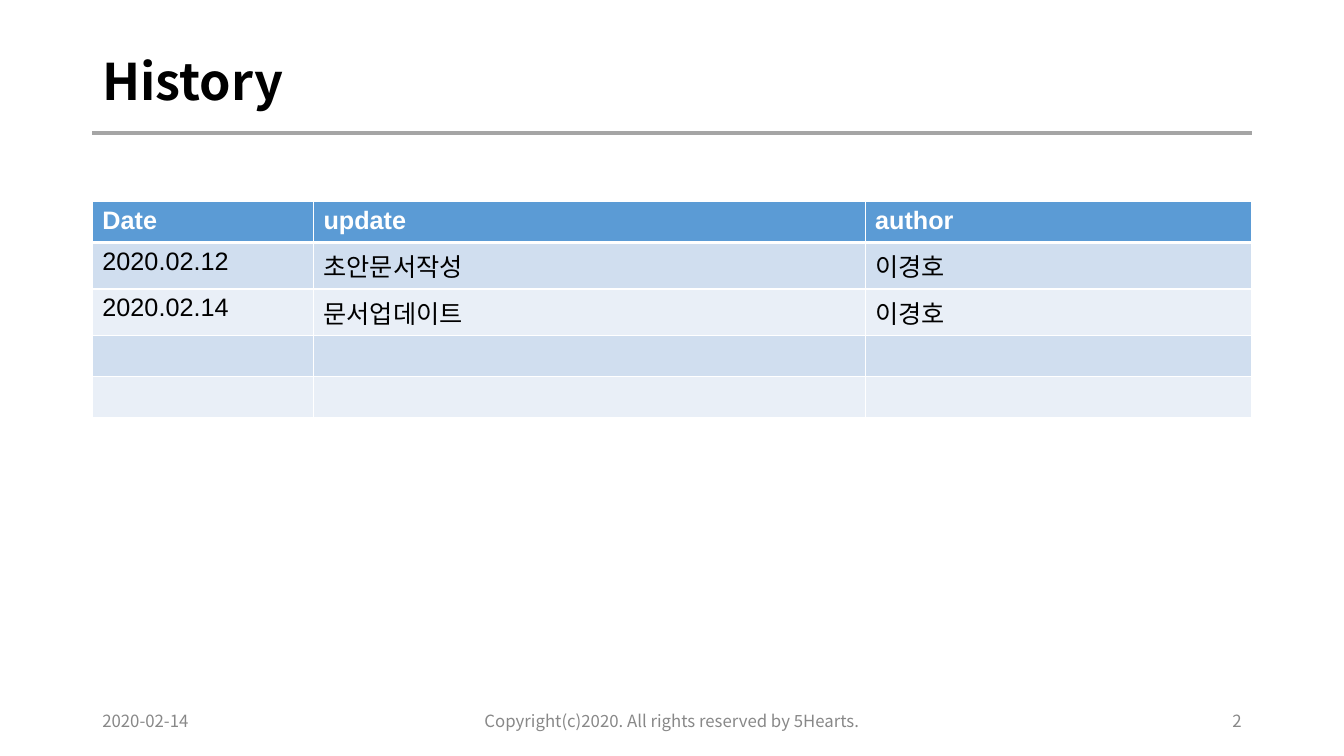
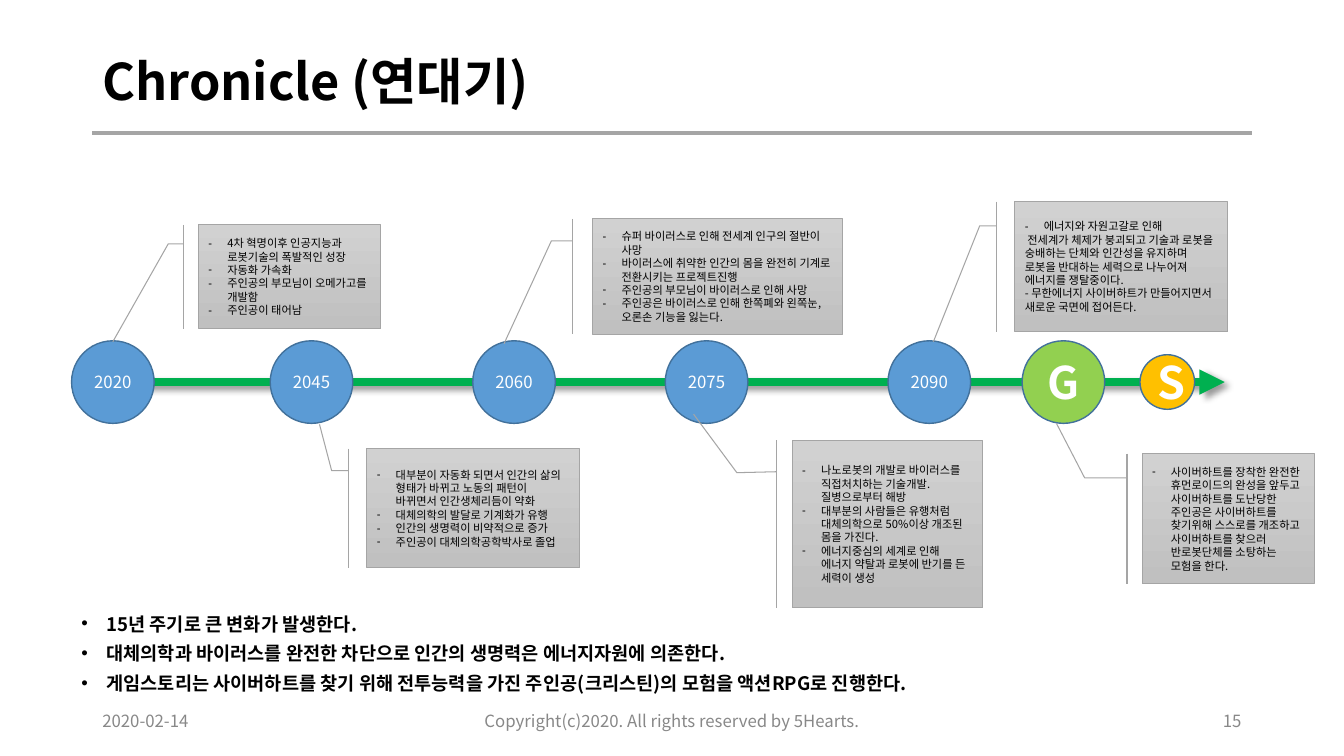
from lxml.etree import SubElement
from pptx import Presentation
from pptx.dml.color import RGBColor
from pptx.enum.shapes import MSO_CONNECTOR, MSO_SHAPE
from pptx.enum.text import MSO_ANCHOR, MSO_AUTO_SIZE, PP_ALIGN
from pptx.oxml.ns import qn
from pptx.util import Pt

BLACK = RGBColor(0x00, 0x00, 0x00)
WHITE = RGBColor(0xFF, 0xFF, 0xFF)
RULE_GRAY = RGBColor(0xA5, 0xA5, 0xA5)
FOOTER_GRAY = RGBColor(0x88, 0x88, 0x88)
BOX_TOP = RGBColor(0xD1, 0xD1, 0xD1)
BOX_BOTTOM = RGBColor(0xC0, 0xC0, 0xC0)
BLUE = RGBColor(0x5B, 0x9B, 0xD5)
DARK_BLUE = RGBColor(0x42, 0x71, 0x9B)
BANDS = [RGBColor(0xD0, 0xDE, 0xEF), RGBColor(0xE9, 0xEF, 0xF7)]
GREEN = RGBColor(0x00, 0xB0, 0x50)
LIGHT_GREEN = RGBColor(0x92, 0xD0, 0x50)
AMBER = RGBColor(0xFF, 0xC0, 0x00)

FONT = "Noto Sans CJK KR"
TABLE_FONT = "Arial"
SLIDE_WIDTH, SLIDE_HEIGHT = 960, 540
MARGIN = 66
CONTENT_WIDTH = SLIDE_WIDTH - 2 * MARGIN

TITLE_FORMAT = {"size": Pt(36), "bold": True}
FOOTER_FORMAT = {"size": Pt(12)}
YEAR_FORMAT = {"size": Pt(12)}
LETTER_FORMAT = {"size": Pt(32), "bold": True}
CALLOUT_FORMAT = {"size": Pt(8)}
SUMMARY_FORMAT = {"size": Pt(13.3), "bold": True}

DATE = "2020-02-14"
COPYRIGHT = "Copyright(c)2020. All rights reserved by 5Hearts."

HISTORY_ROWS = [
    ("Date", "update", "author"),
    ("2020.02.12", "초안문서작성", "이경호"),
    ("2020.02.14", "문서업데이트", "이경호"),
    ("", "", ""),
    ("", "", ""),
]
HISTORY_COLUMNS = [158, 394, 276]
HISTORY_TOP, HISTORY_ROW_HEIGHT = 144, 29.2

AXIS_Y = 272.9
AXIS_END = 874.8
# label, centre x, diameter, fill, text format
MILESTONES = [
    ("2020", 80.6, 59, BLUE, YEAR_FORMAT),
    ("2045", 222.5, 59, BLUE, YEAR_FORMAT),
    ("2060", 367.2, 59, BLUE, YEAR_FORMAT),
    ("2075", 504.7, 59, BLUE, YEAR_FORMAT),
    ("2090", 663.8, 59, BLUE, YEAR_FORMAT),
    ("G", 759.6, 59, LIGHT_GREEN, LETTER_FORMAT),
    ("S", 833.8, 39, AMBER, LETTER_FORMAT),
]
# box is left, top, width, height; leader runs from accent bar over bend to tip
CALLOUTS = [
    {"box": (141.8, 160.6, 130.3, 74.2),
     "leader": [(131, 174.2), (120.2, 174.2), (80.6, 244.1)],
     "dashed": ["4차 혁명이후 인공지능과 로봇기술의 폭발적인 성장",
                "자동화 가속화",
                "주인공의 부모님이 오메가고를 개발함",
                "주인공이 태어남"]},
    {"box": (262.1, 320.4, 151.9, 85),
     "leader": [(249.1, 336.2), (236.9, 336.2), (228.2, 303.1)],
     "dashed": ["대부분이 자동화 되면서 인간의 삶의 형태가 바뀌고 노동의 패턴이 "
                "바뀌면서 인간생체리듬이 약화",
                "대체의학의 발달로 기계화가 유행",
                "인간의 생명력이 비약적으로 증가",
                "주인공이 대체의학공학박사로 졸업"]},
    {"box": (423.4, 156.4, 178.2, 82.4),
     "leader": [(409, 172.1), (393.8, 172.1), (360, 245.5)],
     "dashed": ["슈퍼 바이러스로 인해 전세계 인구의 절반이 사망",
                "바이러스에 취약한 인간의 몸을 완전히 기계로 전환시키는 프로젝트진행",
                "주인공의 부모님이 바이러스로 인해 사망",
                "주인공은 바이러스로 인해 한쪽폐와 왼쪽눈, 오론손 기능을 잃는다."]},
    {"box": (565.9, 314.6, 136.1, 119.5),
     "leader": [(554.4, 337), (526.3, 337.7), (495.4, 295.9)],
     "dashed": ["나노로봇의 개발로 바이러스를 직접처치하는 기술개발. 질병으로부터 해방",
                "대부분의 사람들은 유행처럼 대체의학으로 50%이상 개조된 몸을 가진다.",
                "에너지중심의 세계로 인해 에너지 약탈과 로봇에 반기를 든 세력이 생성"]},
    {"box": (725, 144, 151.9, 92.9),
     "leader": [(712.1, 161.3), (699.8, 161.3), (666.7, 244.1)],
     "dashed": ["에너지와 자원고갈로 인해"],
     "plain": [" 전세계가 체제가 붕괴되고 기술과 로봇을 숭배하는 단체와 인간성을 "
               "유지하며 로봇을 반대하는 세력으로 나누어져 에너지를 쟁탈중이다.",
               "- 무한에너지 사이버하트가 만들어지면서 새로운 국면에 접어든다."]},
    {"box": (815.8, 324, 123.1, 92.9),
     "leader": [(805, 341.3), (774.7, 341.3), (754.6, 302.4)],
     "dashed": ["사이버하트를 장착한 완전한 휴먼로이드의 완성을 앞두고 사이버하트를 "
                "도난당한 주인공은 사이버하트를 찾기위해 스스로를 개조하고 "
                "사이버하트를 찾으러 반로봇단체를 소탕하는 모험을 한다."]},
]
SUMMARY = [
    "15년 주기로 큰 변화가 발생한다.",
    "대체의학과 바이러스를 완전한 차단으로 인간의 생명력은 에너지자원에 의존한다.",
    "게임스토리는 사이버하트를 찾기 위해 전투능력을 가진 주인공(크리스틴)의 모험을 "
    "액션RPG로 진행한다.",
]


def points(*lengths):
    return [Pt(length) for length in lengths]


def add_text(paragraph, text, font_format, color=BLACK, latin=FONT):
    run = paragraph.add_run()
    run.text = text
    for name, value in {"name": latin, **font_format}.items():
        setattr(run.font, name, value)
    run.font.color.rgb = color
    SubElement(run._r.get_or_add_rPr(), qn("a:ea"), typeface=FONT)


def add_bullet(paragraph, character, indent):
    properties = paragraph._p.get_or_add_pPr()
    properties.set("marL", str(Pt(indent)))
    properties.set("indent", str(-Pt(indent)))
    color = SubElement(properties, qn("a:buClr"))
    SubElement(color, qn("a:srgbClr"), val=str(BLACK))
    SubElement(properties, qn("a:buFont"), typeface="Arial")
    SubElement(properties, qn("a:buChar"), char=character)


def set_frame(shape, anchor=MSO_ANCHOR.MIDDLE):
    frame = shape.text_frame
    settings = {"word_wrap": True, "auto_size": MSO_AUTO_SIZE.NONE, "vertical_anchor": anchor,
                "margin_left": Pt(7.2), "margin_right": Pt(7.2),
                "margin_top": Pt(3.6), "margin_bottom": Pt(3.6)}
    for name, value in settings.items():
        setattr(frame, name, value)
    return frame


def add_paragraphs(frame, count):
    return [frame.paragraphs[0]] + [frame.add_paragraph() for _ in range(count - 1)]


def add_line(slide, start, end, color, width):
    line = slide.shapes.add_connector(MSO_CONNECTOR.STRAIGHT, *points(*start, *end))
    line.line.color.rgb = color
    line.line.width = Pt(width)
    return line, SubElement(line._element.spPr, qn("a:effectLst"))


def add_base_slide(presentation, title, number):
    """Add a slide with the shared title, rule and footer."""
    slide = presentation.slides.add_slide(presentation.slide_layouts[5])
    shape = slide.shapes.title
    shape.left, shape.top, shape.width, shape.height = points(MARGIN, 29, CONTENT_WIDTH, 62.6)
    paragraph = set_frame(shape).paragraphs[0]
    paragraph.alignment = PP_ALIGN.LEFT
    paragraph.line_spacing = 0.9
    add_text(paragraph, title, TITLE_FORMAT)
    add_line(slide, (MARGIN, 95), (MARGIN + CONTENT_WIDTH, 95), RULE_GRAY, 2.25)
    footers = [
        (DATE, MARGIN, 216, PP_ALIGN.LEFT),
        (COPYRIGHT, (SLIDE_WIDTH - 324) / 2, 324, PP_ALIGN.CENTER),
        (number, SLIDE_WIDTH - MARGIN - 216, 216, PP_ALIGN.RIGHT),
    ]
    for text, left, width, alignment in footers:
        box = slide.shapes.add_textbox(*points(left, 500.5, width, 28.8))
        paragraph = set_frame(box).paragraphs[0]
        paragraph.alignment = alignment
        add_text(paragraph, text, FOOTER_FORMAT, FOOTER_GRAY)
    return slide


def set_borders(cell, bottom_width):
    properties = cell._tc.get_or_add_tcPr()
    for side, width in {"L": 1, "R": 1, "T": 1, "B": bottom_width}.items():
        border = SubElement(properties, qn(f"a:ln{side}"), w=str(Pt(width)))
        fill = SubElement(border, qn("a:solidFill"))
        SubElement(fill, qn("a:srgbClr"), val=str(WHITE))


def add_history_table(slide):
    rows, columns = len(HISTORY_ROWS), len(HISTORY_COLUMNS)
    table = slide.shapes.add_table(rows, columns, *points(
        MARGIN, HISTORY_TOP, CONTENT_WIDTH, rows * HISTORY_ROW_HEIGHT)).table
    for column, width in zip(table.columns, HISTORY_COLUMNS):
        column.width = Pt(width)
    for row, texts in enumerate(HISTORY_ROWS):
        header = row == 0
        for column, text in enumerate(texts):
            cell = table.cell(row, column)
            set_borders(cell, 3 if header else 1)
            cell.fill.solid()
            cell.fill.fore_color.rgb = BLUE if header else BANDS[(row - 1) % 2]
            if text:
                add_text(cell.text_frame.paragraphs[0], text, {"size": Pt(18), "bold": header},
                         WHITE if header else BLACK, TABLE_FONT)


def add_time_arrow(slide):
    arrow, effects = add_line(slide, (MARGIN, AXIS_Y), (AXIS_END, AXIS_Y), GREEN, 6)
    SubElement(arrow.line._get_or_add_ln(), qn("a:tailEnd"), type="triangle")
    shadow = SubElement(effects, qn("a:outerShdw"), blurRad=str(Pt(4)), dist=str(Pt(3)),
                        dir=str(45 * 60000), algn="tl", rotWithShape="0")
    color = SubElement(shadow, qn("a:srgbClr"), val=str(BLACK))
    SubElement(color, qn("a:alpha"), val="40000")


def add_milestone(slide, label, center, diameter, fill, font_format):
    circle = slide.shapes.add_shape(MSO_SHAPE.OVAL, *points(
        center - diameter / 2, AXIS_Y - diameter / 2, diameter, diameter))
    circle.shadow.inherit = False
    circle.fill.solid()
    circle.fill.fore_color.rgb = fill
    circle.line.color.rgb = DARK_BLUE
    circle.line.width = Pt(1)
    paragraph = set_frame(circle).paragraphs[0]
    paragraph.alignment = PP_ALIGN.CENTER
    add_text(paragraph, label, font_format, WHITE)


def add_callout(slide, box, leader, dashed, plain=()):
    left, top, width, height = box
    callout = slide.shapes.add_shape(
        MSO_SHAPE.LINE_CALLOUT_2_BORDER_AND_ACCENT_BAR, *points(*box))
    for index, (x, y) in enumerate(leader):
        callout.adjustments[2 * index] = (y - top) / height
        callout.adjustments[2 * index + 1] = (x - left) / width
    callout.shadow.inherit = False
    callout.fill.gradient()
    callout.fill.gradient_angle = 270
    for stop, color in zip(callout.fill.gradient_stops, (BOX_TOP, BOX_BOTTOM)):
        stop.color.rgb = color
    callout.line.color.rgb = RULE_GRAY
    callout.line.width = Pt(0.75)
    texts = [*dashed, *plain]
    paragraphs = add_paragraphs(set_frame(callout), len(texts))
    for index, (paragraph, text) in enumerate(zip(paragraphs, texts)):
        if index < len(dashed):
            add_bullet(paragraph, "-", 13.5)
        paragraph.alignment = PP_ALIGN.LEFT
        add_text(paragraph, text, CALLOUT_FORMAT)


def add_summary(slide):
    box = slide.shapes.add_textbox(*points(51, 438.5, 843, 62.6))
    paragraphs = add_paragraphs(set_frame(box, MSO_ANCHOR.TOP), len(SUMMARY))
    for index, (paragraph, text) in enumerate(zip(paragraphs, SUMMARY)):
        add_bullet(paragraph, "•", 18)
        paragraph.line_spacing = 0.7
        if index:
            paragraph.space_before = Pt(10)
        add_text(paragraph, text, SUMMARY_FORMAT)


def main():
    presentation = Presentation()
    presentation.slide_width, presentation.slide_height = points(SLIDE_WIDTH, SLIDE_HEIGHT)

    add_history_table(add_base_slide(presentation, "History", "2"))

    chronicle = add_base_slide(presentation, "Chronicle (연대기)", "15")
    add_summary(chronicle)
    add_time_arrow(chronicle)
    for milestone in MILESTONES:
        add_milestone(chronicle, *milestone)
    for callout in CALLOUTS:
        add_callout(chronicle, **callout)

    presentation.save("out.pptx")


if __name__ == "__main__":
    main()
